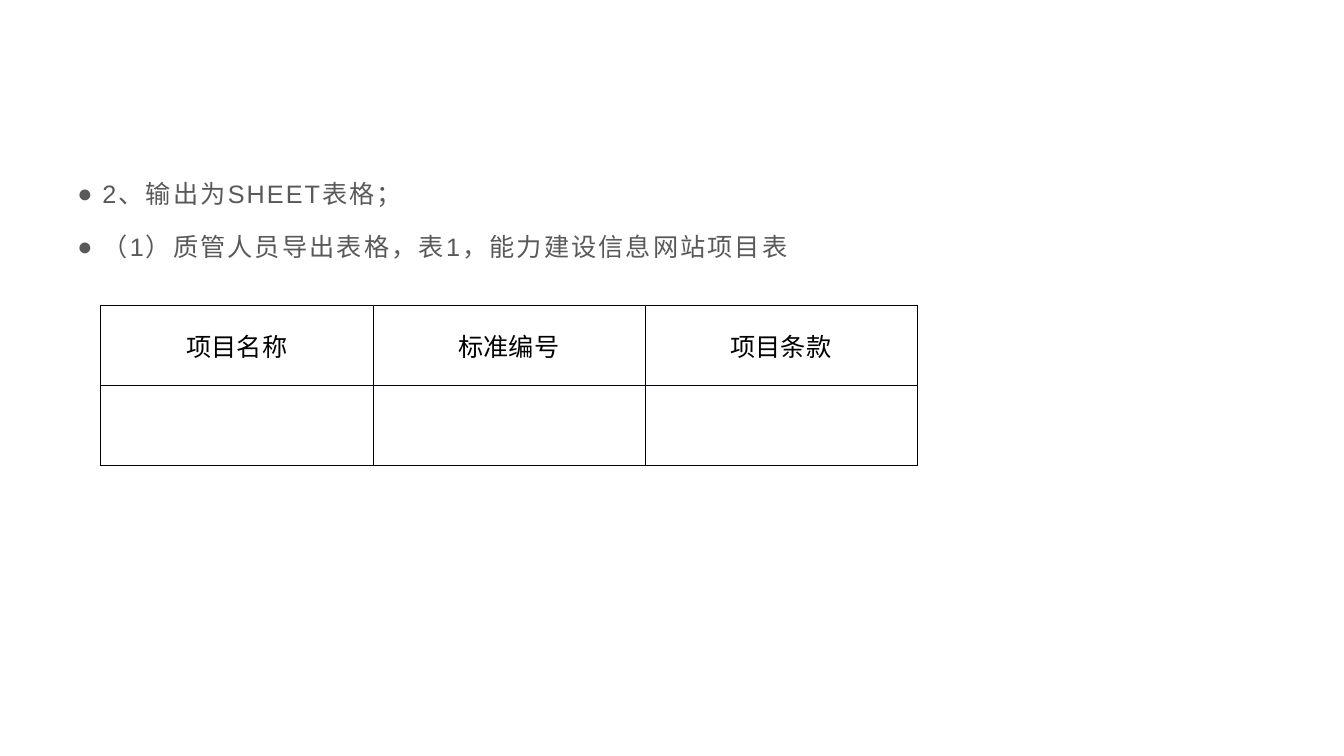
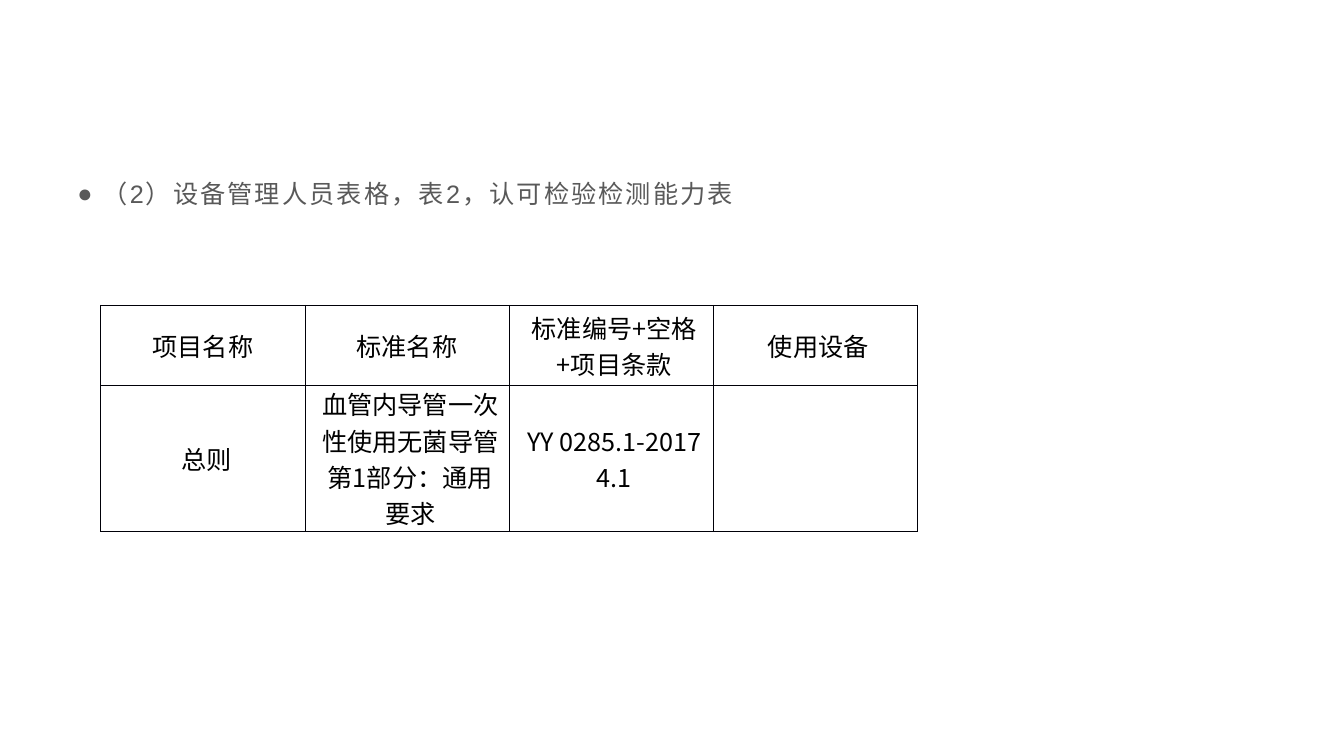
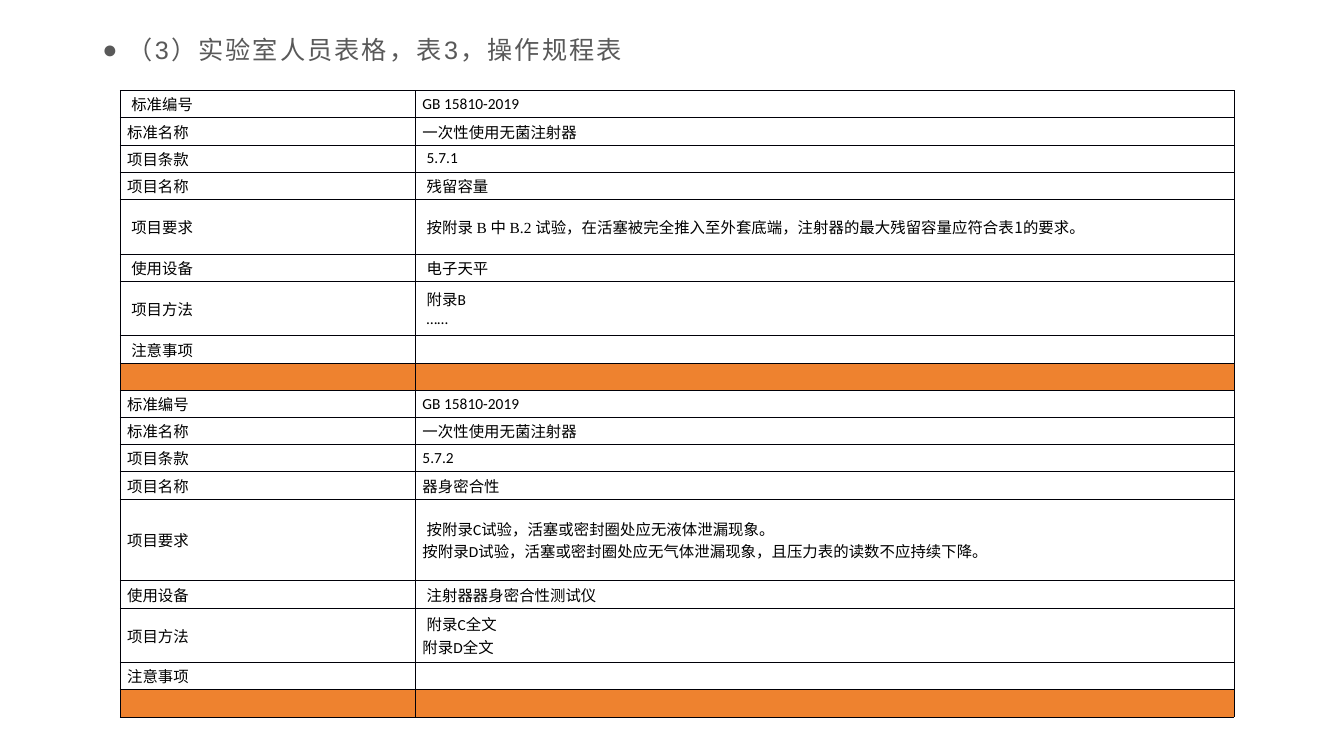
from itertools import cycle

from lxml import etree
from pptx import Presentation
from pptx.dml.color import RGBColor
from pptx.enum.text import MSO_ANCHOR, MSO_AUTO_SIZE, PP_ALIGN
from pptx.oxml.ns import qn
from pptx.util import Pt

TOP, MIDDLE = MSO_ANCHOR.TOP, MSO_ANCHOR.MIDDLE
CENTER, LEFT = PP_ALIGN.CENTER, PP_ALIGN.LEFT
NO_FIT = MSO_AUTO_SIZE.NONE

THEME = {
    "body": RGBColor(0x59, 0x59, 0x59),
    "ink": RGBColor(0, 0, 0),
    "separator": RGBColor(0xEE, 0x82, 0x2F),
    "border": "000008",
    "large": 18,
    "small": 11,
    "latin": "Arial",
    "calibri": "Calibri",
    "cjk": "Noto Sans CJK SC",
    "serif": "Times New Roman",
}
BODY_FRAME = {"margin_left": Pt(7.2), "margin_right": Pt(7.2),
              "margin_top": Pt(3.6), "margin_bottom": Pt(3.6),
              "word_wrap": True, "auto_size": NO_FIT, "vertical_anchor": TOP}
BODY_PARAGRAPH = {"alignment": LEFT, "line_spacing": 1.3,
                  "space_before": Pt(0), "space_after": Pt(10)}
CELL = {"margin_left": Pt(5), "margin_right": Pt(5), "margin_top": 0,
        "margin_bottom": 0, "vertical_anchor": MIDDLE}

prs = Presentation()
prs.slide_width, prs.slide_height = Pt(960), Pt(540)


def add_list_slide(left, top, height, lines):
    """Add a slide whose body placeholder holds a bulleted list."""
    s = prs.slides.add_slide(prs.slide_layouts[1])
    title = s.shapes.title.element
    title.getparent().remove(title)
    body = s.placeholders[1]
    body.left, body.top, body.width, body.height = map(Pt, (left, top, 864, height))
    tf = body.text_frame
    for name, value in BODY_FRAME.items():
        setattr(tf, name, value)
    for i, line in enumerate(lines):
        p = tf.add_paragraph() if i else tf.paragraphs[0]
        for name, value in BODY_PARAGRAPH.items():
            setattr(p, name, value)
        pPr = p._p.get_or_add_pPr()
        pPr.set("marL", str(Pt(18)))
        pPr.set("indent", str(-Pt(18)))
        etree.SubElement(pPr, qn("a:buFont"), typeface=THEME["latin"])
        etree.SubElement(pPr, qn("a:buChar"), char="●")
        r = p.add_run()
        r.text = line
        r.font.name, r.font.size = THEME["latin"], Pt(THEME["large"])
        r.font.color.rgb = THEME["body"]
        rPr = r._r.get_or_add_rPr()
        rPr.set("spc", "150")
        etree.SubElement(rPr, qn("a:ea"), typeface=THEME["calibri"])
    return s


def add_grid(s, left, top, widths, heights, rows, size, font, align, indent):
    """Add a ruled table. A leading > indents a paragraph, a newline starts
    the next one, | switches between CJK and serif runs; None is a separator."""
    table = s.shapes.add_table(len(heights), len(widths), Pt(left), Pt(top),
                               Pt(sum(widths)), Pt(sum(heights))).table
    table.first_row = table.horz_banding = False
    for column, width in zip(table.columns, widths):
        column.width = Pt(width)
    for row, height, texts in zip(table.rows, heights, rows):
        row.height = Pt(height)
        for cell, text in zip(row.cells, texts or [""] * len(widths)):
            for name, value in CELL.items():
                setattr(cell, name, value)
            # Borders come before the fill
            tcPr = cell._tc.get_or_add_tcPr()
            for side in ("lnL", "lnR", "lnT", "lnB"):
                ln = etree.SubElement(tcPr, qn("a:" + side), w=str(Pt(0.5)))
                fill = etree.SubElement(ln, qn("a:solidFill"))
                etree.SubElement(fill, qn("a:srgbClr"), val=THEME["border"])
            if texts is None:
                cell.fill.solid()
                cell.fill.fore_color.rgb = THEME["separator"]
            else:
                cell.fill.background()
            # Text
            tf = cell.text_frame
            for i, line in enumerate(text.split("\n")):
                p = tf.add_paragraph() if i else tf.paragraphs[0]
                p.alignment = align
                if line.startswith(">"):
                    p._p.get_or_add_pPr().set("marL", str(Pt(indent)))
                if not line:
                    p._p.get_or_add_endParaRPr().set("sz", str(size * 100))
                    continue
                fonts = (THEME["cjk"], THEME["serif"]) if "|" in line else (font,)
                for part, face in zip(line.lstrip(">").split("|"), cycle(fonts)):
                    r = p.add_run()
                    r.text = part
                    r.font.name, r.font.size = face, Pt(size)
                    r.font.color.rgb = THEME["ink"]
                    etree.SubElement(r._r.get_or_add_rPr(), qn("a:ea"),
                                     typeface=THEME["cjk"])


# Slides 1 and 2: list above a centred two-row table
EXPORTS = [
    (["2、输出为SHEET表格；",
      "（1）质管人员导出表格，表1，能力建设信息网站项目表"],
     [["项目名称", "标准编号", "项目条款"],
      ["", "", ""]]),
    (["（2）设备管理人员表格，表2，认可检验检测能力表"],
     [["项目名称", "标准名称", ">标准编号+空格+项目条款", ">使用设备"],
      [">总则", ">血管内导管一次性使用无菌导管 第1部分：通用要求",
       ">YY 0285.1-2017 4.1", ""]]),
]
for lines, rows in EXPORTS:
    s = add_list_slide(48, 117.4, 93, lines)
    count = len(rows[0])
    add_grid(s, 72, 218, [583 / count] * count, [57.2] * 2, rows,
             THEME["large"], THEME["cjk"], CENTER, 5)

# Slide 3: procedure table, each row a multiple of one line height
PROCEDURES = [
    (1, [">标准编号", "GB 15810-2019"]),
    (1, ["标准名称", "一次性使用无菌注射器"]),
    (1, ["项目条款", ">5.7.1"]),
    (1, ["项目名称", ">残留容量"]),
    (2, [">项目要求", ">按附录 |B |中 |B.2 |试验，在活塞被完全推入至外套底端，"
                      "注射器的最大残留容量应符合表1的要求。"]),
    (1, [">使用设备", ">电子天平"]),
    (2, [">项目方法", ">附录B\n>……"]),
    (1, [">注意事项", ""]),
    (1, None),
    (1, ["标准编号", "GB 15810-2019"]),
    (1, ["标准名称", "一次性使用无菌注射器"]),
    (1, ["项目条款", "5.7.2"]),
    (1, ["项目名称", "器身密合性"]),
    (3, ["项目要求", ">按附录C试验，活塞或密封圈处应无液体泄漏现象。\n"
                     "按附录D试验，活塞或密封圈处应无气体泄漏现象，"
                     "且压力表的读数不应持续下降。"]),
    (1, ["使用设备", ">注射器器身密合性测试仪"]),
    (2, ["项目方法", ">附录C全文\n附录D全文"]),
    (1, ["注意事项", ""]),
    (1, None),
]
s = add_list_slide(66, 14.4, 44, ["（3）实验室人员表格，表3，操作规程表"])
add_grid(s, 85.8, 64.7, [211, 584.6], [19.47 * units for units, _ in PROCEDURES],
         [texts for _, texts in PROCEDURES],
         THEME["small"], THEME["calibri"], LEFT, 3)

prs.save("out.pptx")
